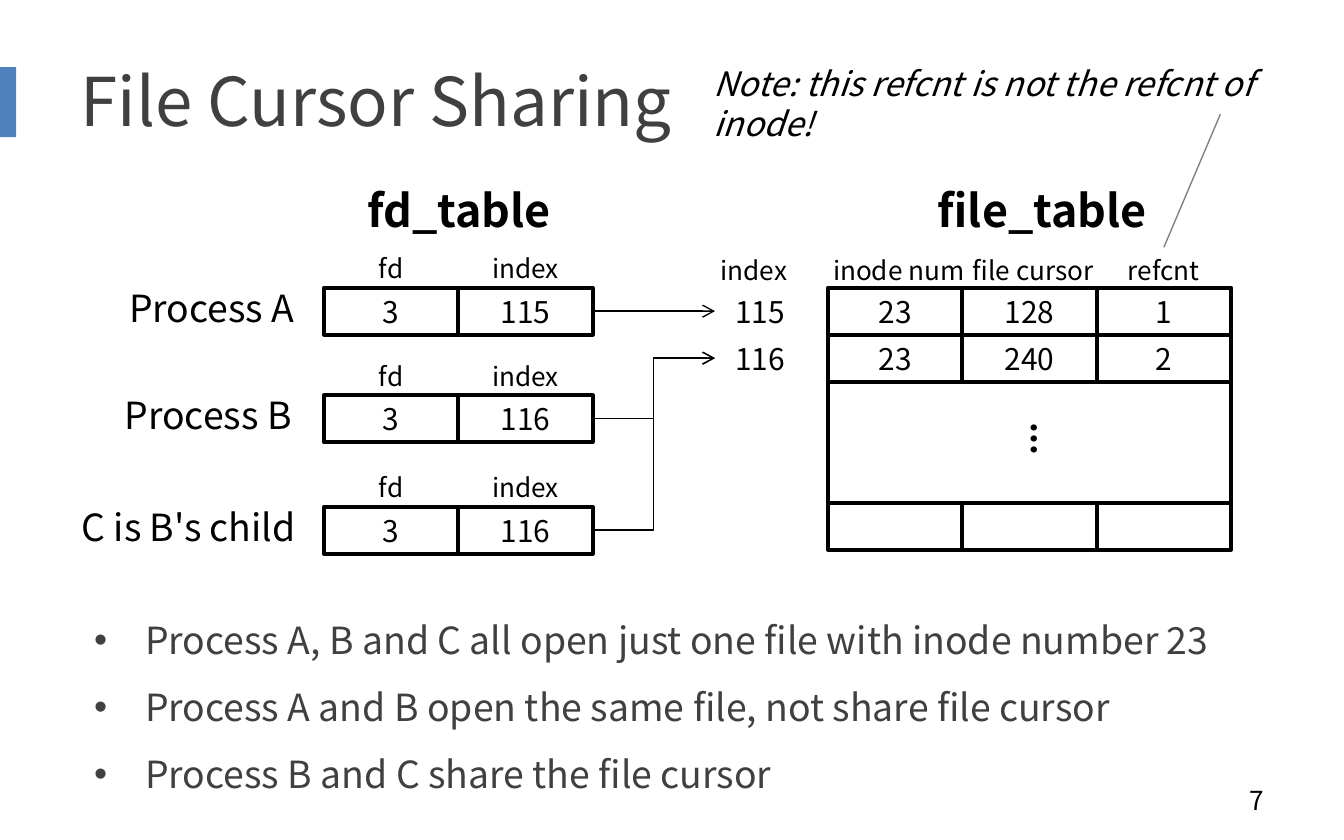
from lxml.etree import SubElement
from pptx import Presentation
from pptx.dml.color import RGBColor
from pptx.enum.shapes import MSO_CONNECTOR as Link, MSO_SHAPE as Shape
from pptx.enum.text import MSO_ANCHOR as Anchor, MSO_AUTO_SIZE as AutoSize, PP_ALIGN as Align
from pptx.oxml.ns import qn
from pptx.util import Inches, Pt

BLACK = RGBColor(0x00, 0x00, 0x00)
DARK = RGBColor(0x40, 0x40, 0x40)
GRAY = RGBColor(0x80, 0x80, 0x80)
BLUE = RGBColor(0x4F, 0x81, 0xBD)

CELL_WIDTH, CELL_HEIGHT = 1, 0.35
FD_LEFT, INDEX_LEFT, FILE_LEFT = 2.41, 5.32, 6.16
TABLE_TOP, LAST_TOP = 2.14, 3.74


class Sketch:
    font = "Noto Sans CJK SC"

    def __init__(self, page):
        self.page = page

    def style(self, frame, size, color=BLACK, align=Align.LEFT, bold=False, italic=False):
        for para in frame.paragraphs:
            para.alignment = align
            for span in para.runs:
                span.font.name = self.font
                span.font.size = Pt(size)
                span.font.color.rgb = color
                span.font.bold = bold
                span.font.italic = italic

    def place(self, box, left, top, width, height):
        box.left, box.top = Inches(left), Inches(top)
        box.width, box.height = Inches(width), Inches(height)

    def title(self, text, *area):
        box = self.page.shapes.title
        self.place(box, *area)
        frame = box.text_frame
        frame.text = text
        frame.auto_size = AutoSize.NONE
        frame.vertical_anchor = Anchor.MIDDLE
        self.style(frame, 36, DARK)

    def bullets(self, lines, *area):
        box = self.page.placeholders[1]
        self.place(box, *area)
        frame = box.text_frame
        frame.text = "\n".join(lines)
        frame.auto_size = AutoSize.NONE
        self.style(frame, 20, DARK)
        for para in frame.paragraphs:
            para.space_before = Pt(12)
            props = para._p.get_or_add_pPr()
            props.set("marL", str(Inches(0.38)))
            props.set("indent", str(Inches(-0.38)))
            SubElement(props, qn("a:buFont"), typeface="Arial")
            SubElement(props, qn("a:buChar"), char="•")

    def text(self, text, left, top, width, height, size, **looks):
        box = self.page.shapes.add_textbox(*map(Inches, (left, top, width, height)))
        frame = box.text_frame
        frame.text = text
        frame.word_wrap = True
        self.style(frame, size, **looks)
        return box

    def label(self, text, middle, top, align=Align.CENTER):
        self.text(text, middle - 0.6, top, 1.2, 0.34, 14, align=align)

    def heading(self, text, left):
        self.text(text, left, 1.31, 2.67, 0.5, 24, align=Align.CENTER, bold=True)

    def bar(self, left, top, width, height):
        shape = self.page.shapes.add_shape(
            Shape.RECTANGLE, *map(Inches, (left, top, width, height)))
        shape.shadow.inherit = False
        shape.fill.solid()
        shape.fill.fore_color.rgb = BLUE
        shape.line.fill.background()

    def cell(self, text, left, top, width=CELL_WIDTH, outlined=True):
        shape = self.page.shapes.add_shape(
            Shape.ROUNDED_RECTANGLE, *map(Inches, (left, top, width, CELL_HEIGHT)))
        shape.adjustments[0] = 0
        shape.shadow.inherit = False
        shape.fill.background()
        if outlined:
            shape.line.color.rgb = BLACK
            shape.line.width = Pt(2)
        else:
            shape.line.fill.background()
        frame = shape.text_frame
        frame.text = text
        frame.vertical_anchor = Anchor.MIDDLE
        self.style(frame, 16, align=Align.CENTER)
        return shape

    def row(self, values, left, top):
        return [self.cell(value, left + column * CELL_WIDTH, top)
                for column, value in enumerate(values)]

    def line(self, start, end, color, width, kind=Link.STRAIGHT):
        link = self.page.shapes.add_connector(kind, *map(Inches, (*start, *end)))
        link.line.color.rgb = color
        link.line.width = Pt(width)
        SubElement(link._element.spPr, qn("a:effectLst"))
        return link

    def arrow(self, source, target):
        link = self.line((0, 0), (1, 1), BLACK, 0.75, Link.ELBOW)
        link.begin_connect(source, 3)
        link.end_connect(target, 1)
        SubElement(link.line._get_or_add_ln(), qn("a:tailEnd"), type="arrow")


def main():
    deck = Presentation()
    deck.slide_width, deck.slide_height = Inches(10), Inches(6.25)
    sketch = Sketch(deck.slides.add_slide(deck.slide_layouts[1]))

    sketch.bar(0, 0.5, 0.12, 0.52)
    sketch.title("File Cursor Sharing", 0.5, 0.25, 9, 0.98)
    sketch.text("7", 7.17, 5.79, 2.33, 0.33, 14, align=Align.RIGHT)
    sketch.heading("fd_table", 2.08)
    sketch.heading("file_table", 6.42)

    slots = {}
    for number, index in enumerate(("115", "116")):
        slots[index] = sketch.cell(
            index, INDEX_LEFT, TABLE_TOP + number * CELL_HEIGHT, 0.67, outlined=False)
    sketch.label("index", 5.61, 1.84)

    processes = [
        ("Process A", "115", TABLE_TOP, 2.29),
        ("Process B", "116", 2.94, 2.27),
        ("C is B's child", "116", 3.77, 2.3),
    ]
    for name, index, top, right in processes:
        sketch.text(name, right - 1.97, top - 0.07, 1.97, 0.44, 20, align=Align.RIGHT)
        for column, caption in enumerate(("fd", "index")):
            sketch.label(caption, FD_LEFT + (column + 0.5) * CELL_WIDTH, top - 0.31)
        cells = sketch.row(("3", index), FD_LEFT, top)
        sketch.arrow(cells[-1], slots[index])

    sketch.label("inode num", 6.7, 1.84, Align.LEFT)
    sketch.label("file cursor", 7.74, 1.84, Align.LEFT)
    sketch.label("refcnt", 8.66, 1.84)
    rows = [
        (("23", "128", "1"), TABLE_TOP),
        (("23", "240", "2"), TABLE_TOP + CELL_HEIGHT),
        (("", "", ""), LAST_TOP),
    ]
    for values, top in rows:
        sketch.row(values, FILE_LEFT, top)
    for side in (FILE_LEFT, FILE_LEFT + 3 * CELL_WIDTH):
        sketch.line((side, TABLE_TOP + 2 * CELL_HEIGHT), (side, LAST_TOP), BLACK, 2)
    dots = sketch.text("...", 7.53, 3.09, 0.49, 0.4, 18, bold=True)
    dots.rotation = 90

    sketch.text("Note: this refcnt is not the refcnt of inode!",
                5.21, 0.42, 4.72, 0.4, 18, italic=True)
    sketch.line((9.08, 0.85), (8.66, 1.84), GRAY, 0.75)

    sketch.bullets([
        "Process A, B and C all open just one file with inode number 23",
        "Process A and B open the same file, not share file cursor",
        "Process B and C share the file cursor",
    ], 0.6, 4.54, 9.08, 1.29)
    deck.save("out.pptx")


if __name__ == "__main__":
    main()
